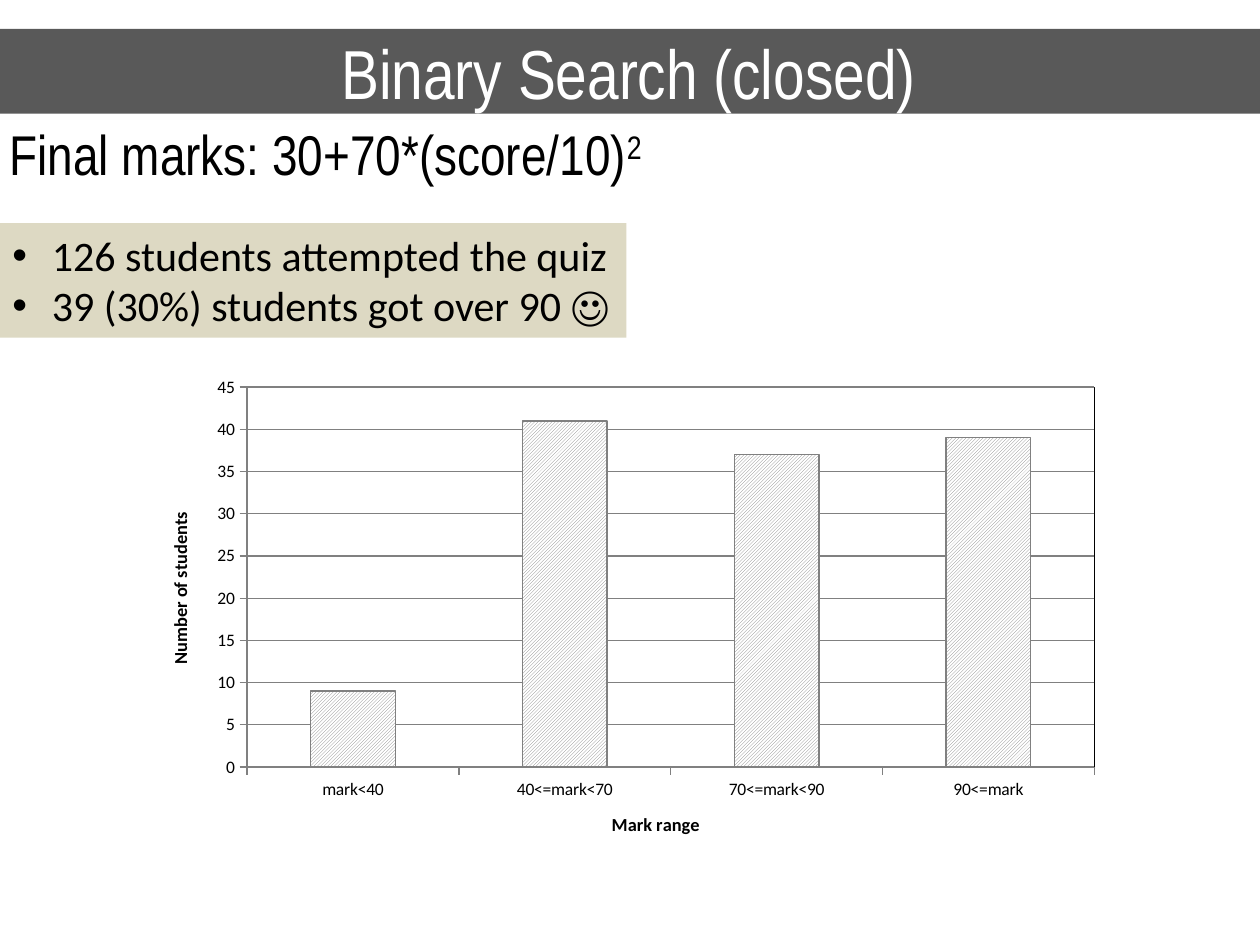
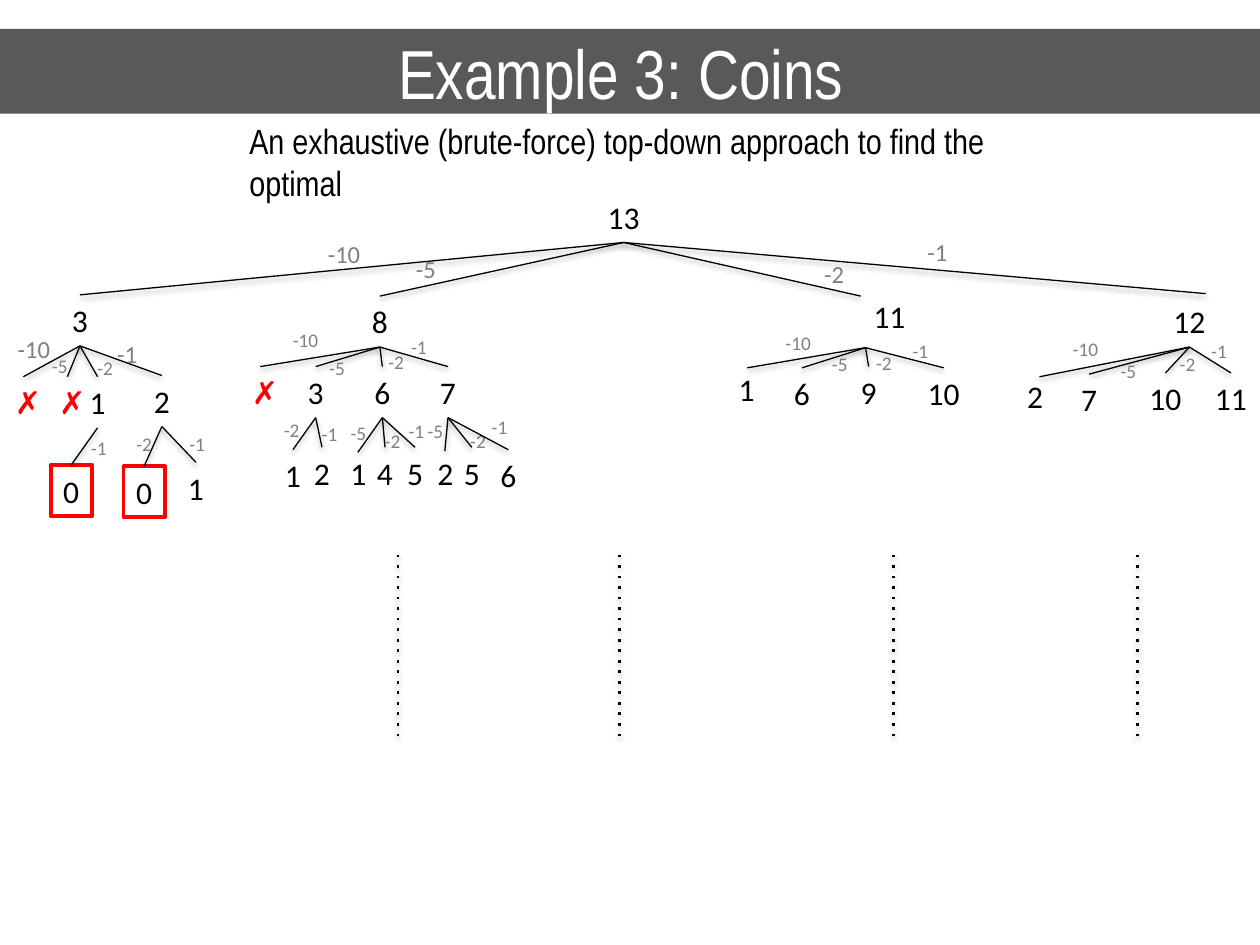
from dataclasses import dataclass
from typing import Optional

from pptx import Presentation
from pptx.chart.data import CategoryChartData as ChartData
from pptx.dml.color import RGBColor as Rgb
from pptx.enum.chart import XL_CHART_TYPE as Kind, XL_TICK_MARK as Tick
from pptx.enum.dml import MSO_PATTERN as Pattern
from pptx.enum.shapes import MSO_CONNECTOR as Link, MSO_SHAPE as Form
from pptx.enum.text import MSO_ANCHOR as Anchor, PP_ALIGN as Align
from pptx.oxml import parse_xml
from pptx.oxml.ns import nsdecls, qn
from pptx.util import Pt


@dataclass(frozen=True)
class Theme:
    ink: Rgb = Rgb(0, 0, 0)
    white: Rgb = Rgb(255, 255, 255)
    band: Rgb = Rgb(0x59, 0x59, 0x59)
    sand: Rgb = Rgb(0xDD, 0xD9, 0xC3)
    gray: Rgb = Rgb(0x80, 0x80, 0x80)
    red: Rgb = Rgb(255, 0, 0)
    head: str = "Arial Narrow"
    body: str = "Calibri"
    sign: str = "Arial"
    title: float = 39.6
    lead: int = 32
    list: int = 24
    note: int = 20
    node: int = 18
    step: int = 14
    small: int = 11
    chart: int = 10
    axis: float = 10.5


T = Theme()


@dataclass
class Node:
    text: str
    x: float
    y: float
    step: str = ""
    at: tuple = ()
    kids: tuple = ()
    big: bool = False
    tip: Optional[tuple] = None
    fork: Optional[tuple] = None


COINS = Node("13", 356.4, 1.4, kids=(
    Node("3", 45.7, 60.5, "-10", (196.6, 25.2), big=True, kids=(
        Node("✗", 13.3, 107.3, "-10", (19.4, 79.2), big=True),
        Node("✗", 38.5, 107.3, "-5", (34.2, 90.7)),
        Node("1", 55.8, 107.3, "-2", (60.1, 92.2), kids=(
            Node("0", 40.7, 157.7, "-1", (56.5, 137.5)),)),
        Node("2", 92.5, 106.6, "-1", (72.7, 82.1), big=True, kids=(
            Node("0", 82.4, 158.4, "-2", (82.4, 135.4)),
            Node("1", 112, 156.2, "-1", (112.7, 135.4)))))),
    Node("8", 217.1, 61.2, "-5", (243.4, 33.8), big=True, kids=(
        Node("✗", 148.7, 101.5, "-10", (174.6, 76.3)),
        Node("3", 180.4, 101.5, "-5", (192.6, 92.2), kids=(
            Node("1", 167.4, 149, "-2", (166.7, 127.4)),
            Node("2", 184, 147.6, "-1", (188.3, 129.6)))),
        Node("6", 218.5, 101.5, "-2", (226.4, 88.6), kids=(
            Node("1", 204.8, 147.6, "-5", (204.8, 128.9), tip=(204.5, 150.5)),
            Node("4", 220, 147.6, "-2", (224.3, 133.9)),
            Node("5", 237.2, 147.6, "-1", (238, 128.2)))),
        Node("7", 256, 101.5, "-1", (239.4, 79.9), kids=(
            Node("2", 254.5, 147.6, "-5", (248.8, 128.2), tip=(254.2, 149.8)),
            Node("5", 269.6, 147.6, "-2", (273.2, 133.9)),
            Node("6", 290.5, 149, "-1", (285.5, 126)))))),
    Node("11", 508.3, 58.3, "-2", (476.6, 36.7), big=True,
         tip=(491.8, 61.2), fork=(494.6, 90.7), kids=(
        Node("1", 426.6, 100.1, "-10", (456.1, 77.8), tip=(427, 102.2)),
        Node("6", 458.3, 102.2, "-5", (479.9, 90)),
        Node("9", 496.4, 101.5, "-2", (505.1, 89.3)),
        Node("10", 539.3, 102.2, "-1", (526, 82.1)))),
    Node("12", 679.7, 61.2, "-1", (535.7, 23.8), big=True,
         tip=(689, 59.8), kids=(
        Node("2", 591.5, 103.7, "-10", (620.3, 81.4), tip=(594, 107.3)),
        Node("7", 622.4, 105.8, "-5", (644.8, 93.6)),
        Node("10", 666, 105.1, "-2", (678.6, 90)),
        Node("11", 703.4, 105.1, "-1", (696.6, 82.1))))))


def style(font, size, color=T.ink, face=T.body, bold=None):
    font.size, font.name, font.bold = Pt(size), face, bold
    font.color.rgb = color


def write(para, text, *look):
    run = para.add_run()
    run.text = text
    style(run.font, *look)
    return run


def panel(slide, box, fill=None, line=None):
    shape = slide.shapes.add_shape(Form.RECTANGLE, *map(Pt, box))
    shape.shadow.inherit = False
    if fill is None:
        shape.fill.background()
    else:
        shape.fill.solid()
        shape.fill.fore_color.rgb = fill
    if line is None:
        shape.line.fill.background()
    else:
        shape.line.color.rgb = line
        shape.line.width = Pt(2.25)
    return shape


def label(slide, box, wrap=False):
    area = slide.shapes.add_textbox(*map(Pt, box))
    area.text_frame.word_wrap = wrap
    return area


def banner(slide, box, text):
    frame = panel(slide, box, T.band).text_frame
    frame.word_wrap = True
    frame.vertical_anchor = Anchor.MIDDLE
    para = frame.paragraphs[0]
    para.alignment = Align.CENTER
    write(para, text, T.title, T.white, T.head)


def formula(slide, box):
    para = label(slide, box).text_frame.paragraphs[0]
    write(para, "Final marks: 30+70*(score/10)", T.lead, T.ink, T.head)
    power = write(para, "2", T.lead, T.ink, T.head)
    power.font._element.set("baseline", "30000")


def points(slide, box, lines):
    frame = panel(slide, box, T.sand).text_frame
    frame.word_wrap = False
    frame.vertical_anchor = Anchor.TOP
    for i, text in enumerate(lines):
        para = frame.add_paragraph() if i else frame.paragraphs[0]
        para.alignment = Align.LEFT
        props = para._p.get_or_add_pPr()
        props.set("marL", str(Pt(22.5)))
        props.set("indent", str(Pt(-22.5)))
        for tag in ('buFont typeface="Arial"', 'buChar char="•"'):
            props.append(parse_xml(f"<a:{tag} {nsdecls('a')}/>"))
        write(para, text, T.list)


def marks(slide, box):
    data = ChartData()
    data.categories = ["mark<40", "40<=mark<70", "70<=mark<90", "90<=mark"]
    data.add_series("Series 1", (9, 41, 37, 39))
    chart = slide.shapes.add_chart(
        Kind.COLUMN_CLUSTERED, *map(Pt, box), data).chart
    chart.has_legend = chart.has_title = False
    style(chart.font, T.chart)
    for axis, name in ((chart.category_axis, "Mark range"),
                       (chart.value_axis, "Number of students")):
        para = axis.axis_title.text_frame.paragraphs[0]
        write(para, name, T.axis, T.ink, T.body, True)
        axis.major_tick_mark = Tick.OUTSIDE
        axis.minor_tick_mark = Tick.NONE
        axis.format.line.color.rgb = T.gray
        axis.format.line.width = Pt(0.75)
    axis = chart.value_axis
    axis.minimum_scale, axis.maximum_scale, axis.major_unit = 0, 45, 5
    axis.tick_labels.number_format = "0"
    axis.tick_labels.number_format_is_linked = False
    axis.major_gridlines.format.line.color.rgb = T.gray
    plot = chart.plots[0]
    plot.gap_width, plot.vary_by_categories = 150, False
    bars = plot.series[0].format
    bars.fill.patterned()
    bars.fill.pattern = Pattern.LIGHT_UPWARD_DIAGONAL
    bars.fill.fore_color.rgb, bars.fill.back_color.rgb = T.gray, T.white
    bars.line.color.rgb = T.gray
    bars.line.width = Pt(0.75)
    frame_plot(chart)


def frame_plot(chart):
    area = chart._chartSpace.chart.plotArea
    for old in area.findall(qn("c:layout")):
        area.remove(old)
    sizes = "".join(f'<c:{k} val="{v}"/>' for k, v in
                    zip("xywh", (0.11, 0.04, 0.87, 0.77)))
    area.insert(0, parse_xml(
        f'<c:layout {nsdecls("c")}><c:manualLayout>'
        '<c:layoutTarget val="inner"/><c:xMode val="edge"/>'
        f'<c:yMode val="edge"/>{sizes}</c:manualLayout></c:layout>'))
    area.append(parse_xml(
        f'<c:spPr {nsdecls("c", "a")}><a:noFill/><a:ln w="{Pt(0.75)}">'
        f'<a:solidFill><a:srgbClr val="{T.ink}"/></a:solidFill>'
        '</a:ln></c:spPr>'))


def stroke(slide, start, end, width=0.75, dash=None):
    line = slide.shapes.add_connector(
        Link.STRAIGHT, *map(Pt, (*start, *end)))
    line.line.color.rgb = T.ink
    line.line.width = Pt(width)
    props = line._element.spPr
    if dash:
        props.find(qn("a:ln")).append(parse_xml(
            f'<a:prstDash {nsdecls("a")} val="{dash}"/>'))
    props.append(parse_xml(
        f'<a:effectLst {nsdecls("a")}><a:outerShdw blurRad="{Pt(3.1)}" '
        f'dist="{Pt(1.6)}" dir="5400000" rotWithShape="0">'
        f'<a:srgbClr val="{T.ink}"><a:alpha val="38000"/></a:srgbClr>'
        '</a:outerShdw></a:effectLst>'))
    return line


def token(slide, x, y, text, size, color=T.ink, face=T.body):
    wide = 14.4 + 0.51 * size * len(text)
    box = (x - wide / 2, y, wide, 7.2 + 1.22 * size)
    shape = panel(slide, box, line=T.red) if text == "0" else label(slide, box)
    shape.text_frame.word_wrap = False
    para = shape.text_frame.paragraphs[0]
    para.alignment = Align.CENTER
    write(para, text, size, color, face)
    return shape


def tree(slide, box, node):
    left, top = box

    def place(x, y):
        return left + x, top + y

    look = (T.red, T.sign) if node.text == "✗" else ()
    shape = token(slide, *place(node.x, node.y), node.text, T.node, *look)
    for kid in node.kids:
        child = tree(slide, box, kid)
        start = node.fork or (node.x, node.y + 29)
        end = kid.tip or (kid.x, kid.y)
        line = stroke(slide, place(*start), place(*end))
        if not node.fork:
            line.begin_connect(shape, 2)
        if not kid.tip:
            line.end_connect(child, 0)
        size = T.step if kid.big else T.small
        token(slide, *place(*kid.at), kid.step, size, T.gray)
    return shape


def trails(slide, box):
    left, top, _, high = box
    for x in (0, 126.5, 283, 422.5):
        stroke(slide, (left + x, top), (left + x, top + high), 1.5, "dot")


def page(deck, title):
    slide = deck.slides.add_slide(deck.slide_layouts[6])
    banner(slide, (-1.5, 16.5, 721.5, 48.5), title)
    return slide


def main():
    deck = Presentation()
    deck.slide_width, deck.slide_height = Pt(720), Pt(540)

    quiz = page(deck, "Binary Search (closed)")
    formula(quiz, (-1.5, 65, 380, 46))
    points(quiz, (0, 127.5, 358, 65.5),
           ("126 students attempted the quiz",
            "39 (30%) students got over 90 ☺"))
    marks(quiz, (80, 210, 556.5, 282))

    coins = page(deck, "Example 3: Coins ")
    note = label(coins, (135.4, 65, 491.8, 31.5), True)
    write(note.text_frame.paragraphs[0],
          "An exhaustive (brute-force) top-down approach to find the optimal",
          T.note, T.ink, T.head)
    tree(coins, (0, 108), COINS)
    trails(coins, (227.5, 317, 422.5, 106.5))

    deck.save("out.pptx")


if __name__ == "__main__":
    main()
